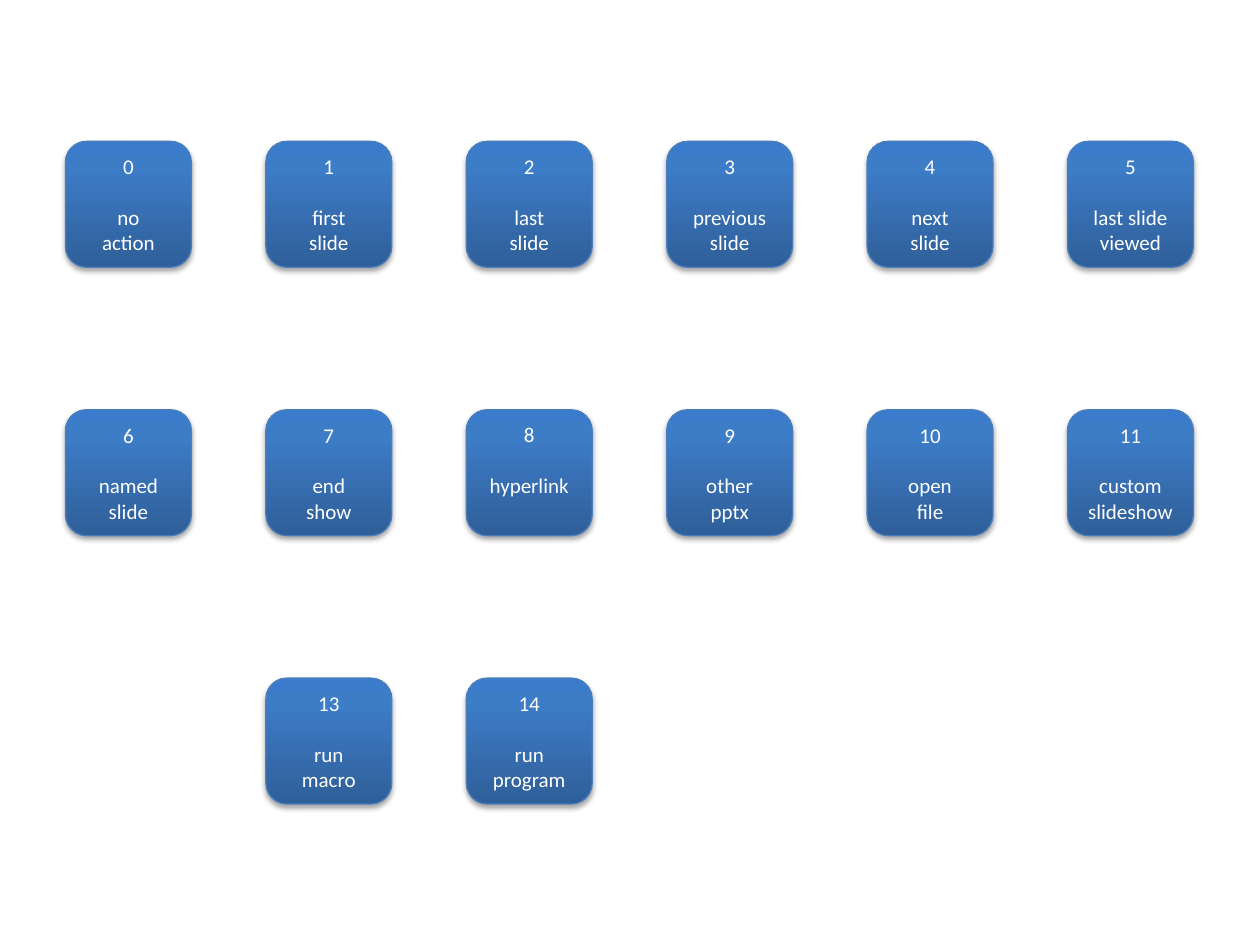
from copy import deepcopy

from lxml.etree import SubElement
from pptx import Presentation
from pptx.dml.color import RGBColor
from pptx.enum.shapes import MSO_SHAPE
from pptx.enum.text import MSO_ANCHOR as Anchor, PP_ALIGN as Align
from pptx.oxml.ns import qn
from pptx.util import Cm, Pt

WHITE = RGBColor(0xFF, 0xFF, 0xFF)
BLACK = RGBColor(0x00, 0x00, 0x00)
OUTLINE = RGBColor(0x4B, 0x7E, 0xBC)
GRADIENT = [
    (0, RGBColor(0x2F, 0x5F, 0x99)),
    (0.8, RGBColor(0x3D, 0x7C, 0xC7)),
    (1, RGBColor(0x3A, 0x7C, 0xCB)),
]

# Grid in centimetres
LEFT, TOP = 1.32, 2.85
COLUMN_STEP, ROW_STEP = 4.04, 5.41
BUTTON_SIZE = 2.54

# Rows of (action number, label lines); None leaves a cell free
ACTIONS = [
    [(0, "no", "action"), (1, "first", "slide"), (2, "last", "slide"),
     (3, "previous slide"), (4, "next", "slide"), (5, "last slide", "viewed")],
    [(6, "named", "slide"), (7, "end", "show"), (8, "hyperlink"),
     (9, "other", "pptx"), (10, "open", "file"), (11, "custom", "slideshow")],
    [None, (13, "run", "macro"), (14, "run", "program")],
]


class ActionSlide:
    font_name = "Calibri"
    font_size = Pt(12)
    line_height = Pt(14.6)

    def __init__(self, slide):
        self.slide = slide

    def button(self, left, top, number, *label):
        shape = self.slide.shapes.add_shape(
            MSO_SHAPE.ROUNDED_RECTANGLE,
            Cm(left), Cm(top), Cm(BUTTON_SIZE), Cm(BUTTON_SIZE))
        self.gradient(shape)
        shape.line.color.rgb = OUTLINE
        shape.line.width = Pt(0.75)
        self.shadow(shape)

        frame = shape.text_frame
        frame.word_wrap = True
        frame.vertical_anchor = Anchor.MIDDLE
        if label == ("hyperlink",):
            # Keep the number level with those above two-line labels
            frame.margin_bottom += self.line_height
        self.text(frame.paragraphs[0], str(number))
        paragraph = frame.add_paragraph()
        paragraph.space_before = self.line_height
        self.text(paragraph, *label)

    def text(self, paragraph, *lines):
        paragraph.alignment = Align.CENTER
        for index, line in enumerate(lines):
            if index:
                paragraph.add_line_break()
            run = paragraph.add_run()
            run.text = line
            run.font.name = self.font_name
            run.font.size = self.font_size
            run.font.color.rgb = WHITE

    def gradient(self, shape):
        fill = shape.fill
        fill.gradient()
        fill.gradient_angle = 90
        stop_list = shape._element.spPr.find(".//" + qn("a:gsLst"))
        stop_list.append(deepcopy(stop_list[-1]))
        for stop, (position, color) in zip(fill.gradient_stops, GRADIENT):
            stop.position = position
            stop.color.rgb = color

    def shadow(self, shape):
        shape.shadow.inherit = False
        effects = shape._element.spPr.find(qn("a:effectLst"))
        outer = SubElement(effects, qn("a:outerShdw"), blurRad=str(Pt(3.1)),
                           dist=str(Pt(1.8)), dir="5400000", rotWithShape="0")
        color = SubElement(outer, qn("a:srgbClr"), val=str(BLACK))
        SubElement(color, qn("a:alpha"), val="35000")


def main():
    presentation = Presentation()
    presentation.slide_width = Cm(25.4)
    presentation.slide_height = Cm(19.05)
    blank_layout = presentation.slide_layouts[6]
    page = ActionSlide(presentation.slides.add_slide(blank_layout))

    # Grid of action buttons
    for row, actions in enumerate(ACTIONS):
        for column, action in enumerate(actions):
            if action:
                page.button(LEFT + column * COLUMN_STEP,
                            TOP + row * ROW_STEP, *action)

    presentation.save("out.pptx")


if __name__ == "__main__":
    main()
